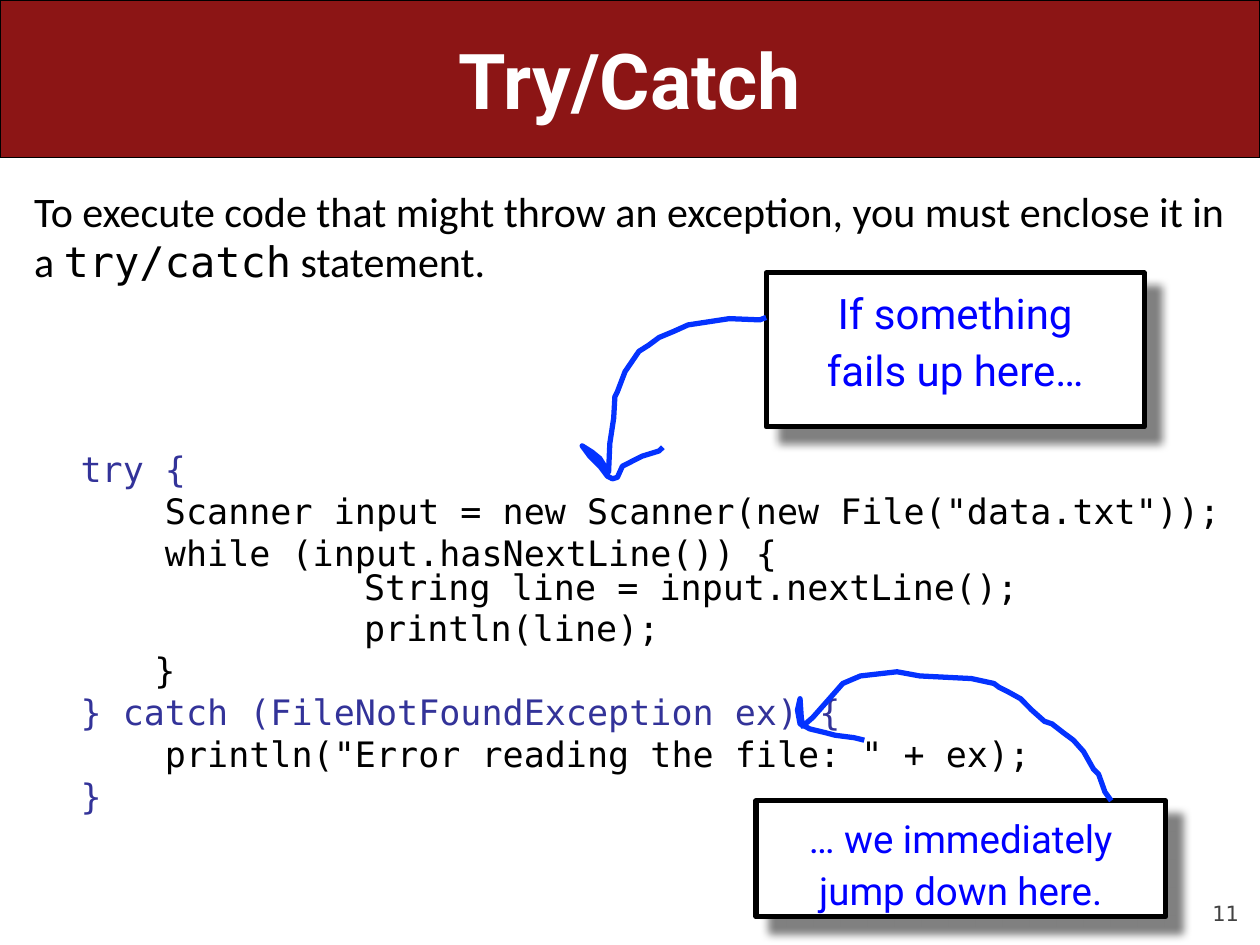
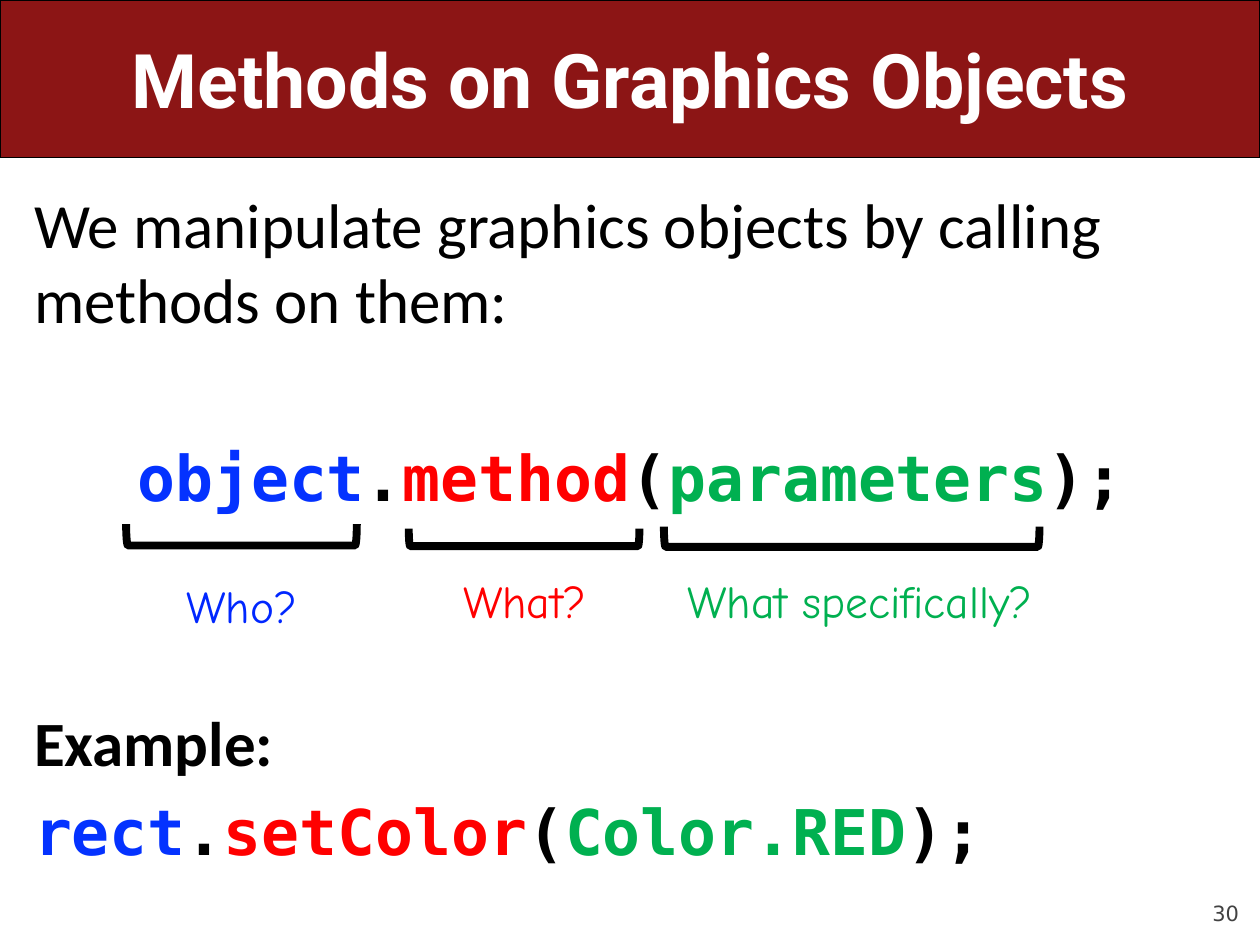
from lxml.etree import SubElement
from pptx import Presentation
from pptx.dml.color import RGBColor
from pptx.enum.shapes import MSO_SHAPE as Shape
from pptx.enum.text import MSO_ANCHOR as Anchor, MSO_AUTO_SIZE as AutoSize, PP_ALIGN as Align
from pptx.oxml.ns import qn
from pptx.util import Pt

# Shared look
CARDINAL, WHITE, BLACK = "8C1515", "FFFFFF", "000000"
GREY, SHADOW = "424242", "808080"
KEYWORD, CALLOUT_BLUE, INK = "333399", "0000FF", "0432FF"
RED, GREEN, WHO_BLUE = "FF0000", "00B050", "0027FF"
SANS, MONO, HEADING, HAND = "Calibri", "DejaVu Sans Mono", "Roboto", "Comic Neue"

SLIDE_W, SLIDE_H = 720, 540
BAND = (0, 0, SLIDE_W, 90)
TITLE = (36, 0, 648, 90)
BODY = (12.24, 102.24, 696, 408)
PAGE_NUMBER = (648, 500.4, 60, 28.8)

# Pen strokes: offsets from the point where each leaves its callout
STROKE_TO_TRY = [
    (-3.6, 1.4), (-21, 0.7), (-44.6, 4.3), (-52.6, 7.9), (-61.2, 11.5), (-67, 15.8),
    (-72.7, 19.4), (-80.6, 31), (-85, 42.5), (-86.4, 45.4), (-87.1, 57.6), (-89.3, 72),
    (-90, 88.6), (-95, 80.6), (-99.4, 77), (-105.1, 73.4), (-100.8, 79.2), (-95, 85),
    (-90.7, 90.7), (-87.8, 92.2), (-85, 91.4), (-82.1, 85), (-73.4, 80.6),
    (-70.6, 79.2), (-61.2, 76.3), (-59, 74.2),
]
STROKE_TO_CATCH = [
    (-3.6, -5), (-7.2, -15.1), (-10.1, -18), (-15.8, -28.1), (-21.6, -34.6),
    (-27.4, -38.9), (-33.8, -43.9), (-38.2, -45.4), (-45.4, -51.8), (-51.8, -58.3),
    (-58.3, -61.9), (-64.1, -64.8), (-67, -67), (-79.9, -69.8), (-109.4, -71.3),
    (-122.4, -73.7), (-143.3, -71.3), (-153.4, -67), (-159.1, -60.5), (-170.6, -47.5),
    (-176.4, -42.5), (-177.1, -47.5), (-177.8, -58.3), (-179.3, -51.8), (-177.8, -43.9),
    (-172.1, -41), (-163.4, -38.9), (-157.7, -37.4), (-146.9, -36), (-141.1, -34.6),
]

# Code lines: text, colour, left indent, space before
CODE_INDENT, BLOCK_INDENT, LOOP_INDENT = 26.6, 44.6, 188.6
CODE_GAP = 4.7
CODE = [
    ("try {", KEYWORD, CODE_INDENT, 97),
    ('    Scanner input = new Scanner(new File("data.txt"));', BLACK, CODE_INDENT, CODE_GAP),
    ("    while (input.hasNextLine()) {", BLACK, CODE_INDENT, CODE_GAP),
    ("String line = input.nextLine();", BLACK, LOOP_INDENT, 0),
    ("println(line);", BLACK, LOOP_INDENT, CODE_GAP),
    ("  }", BLACK, BLOCK_INDENT, CODE_GAP),
    ("} catch (FileNotFoundException ex) {", KEYWORD, CODE_INDENT, CODE_GAP),
    ('    println("Error reading the file: " + ex);', BLACK, CODE_INDENT, CODE_GAP),
    ("}", KEYWORD, CODE_INDENT, CODE_GAP),
]

# Call parts: question, colour, bracket (centre x, centre y, span, depth), label box
CALL_PARTS = [
    ("Who?", WHO_BLUE, (138, 305.6, 131.8, 12.2), (54.7, 326.9, 167, 38.9)),
    ("What?", RED, (299.5, 307.1, 131.8, 10), (246.2, 324, 107.3, 38.9)),
    ("What specifically?", GREEN, (486.7, 306.7, 214.6, 11.5), (365.8, 324, 251.3, 38.9)),
]


def points(values):
    return [Pt(value) for value in values]


def color(hex_string):
    return RGBColor.from_string(hex_string)


def apply(target, formats):
    for name, value in formats.items():
        setattr(target, name, value)


def place(shape, box):
    apply(shape, dict(zip(("left", "top", "width", "height"), points(box))))


def style(size, face, bold=False):
    return {"size": Pt(size), "name": face, "bold": bold}


def write(paragraph, pieces, **formats):
    """Fill a paragraph with (text, font formats, colour) pieces."""
    apply(paragraph, formats)
    for text, font_formats, hex_string in pieces:
        run = paragraph.add_run()
        run.text = text
        apply(run.font, font_formats)
        run.font.color.rgb = color(hex_string)


def set_frame(frame, insets=(7.2, 3.6, 7.2, 3.6), anchor=Anchor.TOP, fit=AutoSize.NONE):
    apply(frame, {"word_wrap": True, "auto_size": fit, "vertical_anchor": anchor})
    sides = ("margin_left", "margin_top", "margin_right", "margin_bottom")
    apply(frame, dict(zip(sides, points(insets))))


def write_body(body, rows):
    """Fill the body with (pieces, left indent, paragraph formats) rows, unbulleted."""
    place(body, BODY)
    frame = body.text_frame
    set_frame(frame)
    for index, (pieces, indent, formats) in enumerate(rows):
        paragraph = frame.add_paragraph() if index else frame.paragraphs[0]
        properties = paragraph._p.get_or_add_pPr()
        properties.set("marL", str(Pt(indent)))
        properties.set("indent", "0")
        SubElement(properties, qn("a:buNone"))
        write(paragraph, pieces, **formats)


def add_box(slide, preset, box, fill, line, width):
    shape = slide.shapes.add_shape(preset, *points(box))
    shape.shadow.inherit = False
    if fill:
        shape.fill.solid()
        shape.fill.fore_color.rgb = color(fill)
    else:
        shape.fill.background()
    shape.line.color.rgb = color(line)
    shape.line.width = Pt(width)
    return shape


def add_label(slide, box, text, font_formats, hex_string, align, **frame_formats):
    label = slide.shapes.add_textbox(*points(box))
    set_frame(label.text_frame, **frame_formats)
    write(label.text_frame.paragraphs[0], [(text, font_formats, hex_string)], alignment=align)


def start_slide(deck, heading, size, number):
    """Add the red band, the title and the page number."""
    slide = deck.slides.add_slide(deck.slide_layouts[1])
    band = add_box(slide, Shape.RECTANGLE, BAND, CARDINAL, BLACK, 0.75)
    slide.shapes._spTree.insert(2, band._element)  # behind the title
    title = slide.shapes.title
    place(title, TITLE)
    set_frame(title.text_frame, anchor=Anchor.MIDDLE)
    write(title.text_frame.paragraphs[0], [(heading, style(size, HEADING, True), WHITE)],
          alignment=Align.CENTER)
    add_label(slide, PAGE_NUMBER, number, style(12, "DejaVu Sans"), GREY, Align.RIGHT,
              insets=(0, 0, 0, 0), anchor=Anchor.BOTTOM)
    return slide


def add_callout(slide, box, lines, size, tail, stroke):
    """Add a shadowed note and the pen stroke that leaves it at tail, relative to the box."""
    note = add_box(slide, Shape.RECTANGLE, box, WHITE, BLACK, 2.89)
    effects = note._element.spPr.find(qn("a:effectLst"))
    drop = SubElement(effects, qn("a:outerShdw"), blurRad=str(Pt(5)), dist=str(Pt(12)),
                      dir="2700000", algn="tl", rotWithShape="0")
    SubElement(drop, qn("a:srgbClr"), val=SHADOW)
    frame = note.text_frame
    set_frame(frame, insets=(8.64, 5.04, 8.64, 5.04))
    for index, line in enumerate(lines):
        paragraph = frame.add_paragraph() if index else frame.paragraphs[0]
        write(paragraph, [(line, style(size, HEADING), CALLOUT_BLUE)],
              alignment=Align.CENTER, line_spacing=1.12)

    x, y = box[0] + tail[0], box[1] + tail[1]
    pen = slide.shapes.build_freeform(Pt(x), Pt(y))
    pen.add_line_segments([points((x + dx, y + dy)) for dx, dy in stroke], close=False)
    arrow = pen.convert_to_shape()
    arrow.shadow.inherit = False
    arrow.fill.background()
    arrow.line.color.rgb = color(INK)
    arrow.line.width = Pt(3)


def add_call_part(slide, question, hex_string, bracket, label_box):
    """Add an upward bracket under one part of the call, and its question."""
    x, y, span, depth = bracket
    upright = (x - depth / 2, y - span / 2, depth, span)
    add_box(slide, Shape.LEFT_BRACKET, upright, None, BLACK, 4.5).rotation = 270
    add_label(slide, label_box, question, style(26, HAND), hex_string, Align.CENTER,
              fit=AutoSize.SHAPE_TO_FIT_TEXT)


def call_pieces(receiver, method, argument):
    code = style(36, MONO, True)
    parts = [(receiver, INK), (".", BLACK), (method, RED), ("(", BLACK),
             (argument, GREEN), (");", BLACK)]
    return [(text, code, hex_string) for text, hex_string in parts]


def add_try_catch_slide(deck):
    slide = start_slide(deck, "Try/Catch", 44, "11")
    prose = style(24, SANS)
    intro = [("To execute code that might throw an exception, you must enclose it in a ",
              prose, BLACK),
             ("try/catch", style(24, MONO), BLACK),
             (" statement.", prose, BLACK)]
    rows = [(intro, 0, {"space_before": Pt(0)})]
    for text, hex_string, indent, gap in CODE:
        rows.append(([(text, style(20, MONO), hex_string)], indent,
                     {"level": 1, "line_spacing": 0.8, "space_before": Pt(gap)}))
    write_body(slide.placeholders[1], rows)
    add_callout(slide, (437.8, 156, 216, 88), ["If something", "fails up here…"], 24,
                (0, 25.4), STROKE_TO_TRY)
    add_callout(slide, (432, 457.6, 234, 66.4), ["… we immediately jump down here."], 22,
                (203, 0), STROKE_TO_CATCH)


def add_methods_slide(deck):
    slide = start_slide(deck, "Methods on Graphics Objects", 43, "30")
    intro = "We manipulate graphics objects by calling methods on them:"
    write_body(slide.placeholders[1], [
        ([(intro, style(36, SANS), BLACK)], 0, {"space_before": Pt(0)}),
        (call_pieces("object", "method", "parameters"), 0,
         {"alignment": Align.CENTER, "space_before": Pt(58.5)}),
        ([("Example:", style(36, SANS, True), BLACK)], 0, {"space_before": Pt(108)}),
        (call_pieces("rect", "setColor", "Color.RED"), 0, {"space_before": Pt(7.5)}),
    ])
    for part in CALL_PARTS:
        add_call_part(slide, *part)


def main():
    deck = Presentation()
    apply(deck, {"slide_width": Pt(SLIDE_W), "slide_height": Pt(SLIDE_H)})
    add_try_catch_slide(deck)
    add_methods_slide(deck)
    deck.save("out.pptx")


if __name__ == "__main__":
    main()
